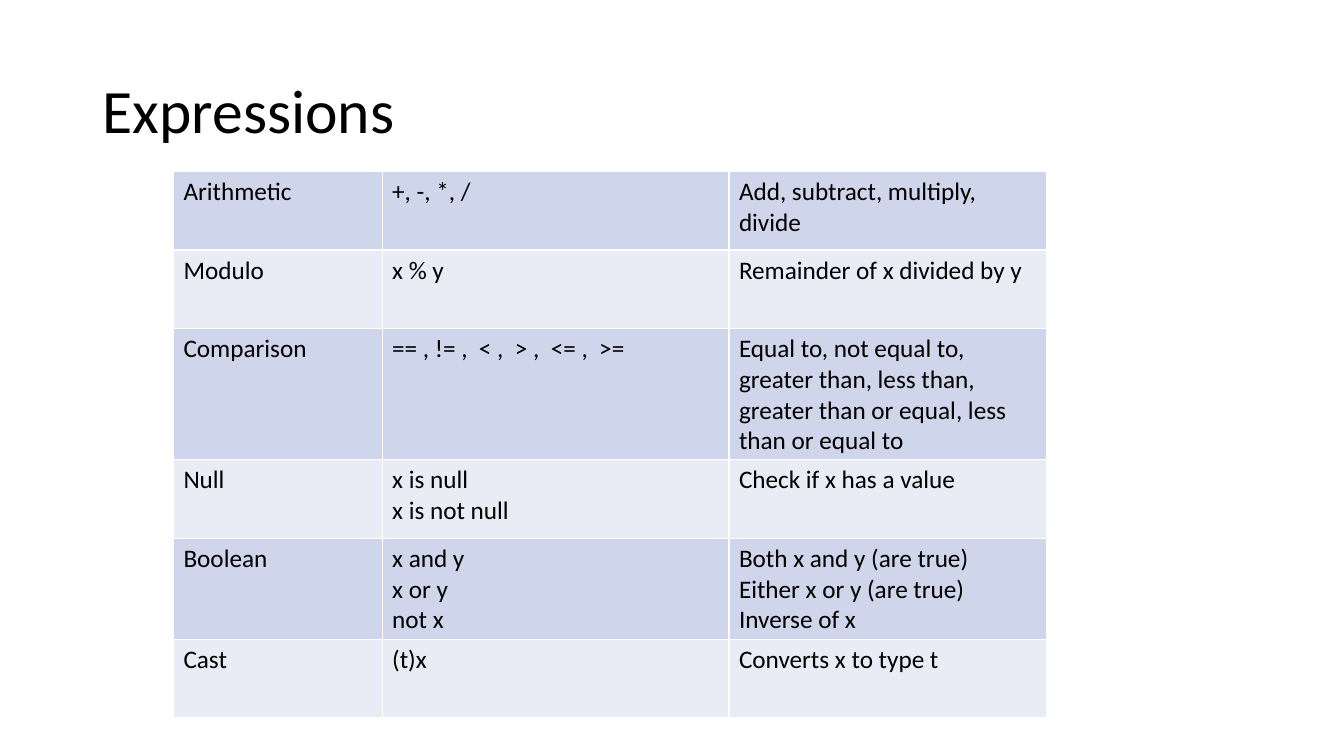
from lxml import etree
from pptx import Presentation
from pptx.dml.color import RGBColor
from pptx.enum import text
from pptx.oxml import ns
from pptx.util import Inches, Pt

BLACK, WHITE = "000000", "FFFFFF"
BANDS = ["CFD5EA", "E9EBF5"]
COLUMN_WIDTHS = [2.07, 3.44, 3.15]
ROW_HEIGHTS = [0.78, 0.78, 1.13, 0.78, 0.85, 0.78]
EXPRESSIONS = [
    ["Arithmetic", "+, -, *, /", "Add, subtract, multiply, divide"],
    ["Modulo", "x % y", "Remainder of x divided by y"],
    ["Comparison", "== , != ,  < ,  > ,  <= ,  >=",
     "Equal to, not equal to, greater than, less than, "
     "greater than or equal, less than or equal to"],
    ["Null", "x is null\nx is not null", "Check if x has a value"],
    ["Boolean", "x and y\nx or y\nnot x",
     "Both x and y (are true)\nEither x or y (are true)\nInverse of x"],
    ["Cast", "(t)x", "Converts x to type t"],
]


def rgb(value):
    return RGBColor.from_string(value)


def write(tf, content, size, line_spacing=1.0):
    """Fill a text frame, one paragraph per line of content."""
    tf.text = content
    for p in tf.paragraphs:
        p.line_spacing = line_spacing
        for r in p.runs:
            for name, value in {"name": "Calibri", "size": Pt(size)}.items():
                setattr(r.font, name, value)
            r.font.color.rgb = rgb(BLACK)


def add_title(s, content):
    box = s.shapes.add_textbox(Inches(0.92), Inches(0.4), Inches(11.5), Inches(1.45))
    tf = box.text_frame
    tf.word_wrap = True
    tf.vertical_anchor = text.MSO_ANCHOR.MIDDLE
    write(tf, content, 44, 0.9)


def set_borders(cell, color, width):
    tc_pr = cell._tc.get_or_add_tcPr()
    for side in ("lnL", "lnR", "lnT", "lnB"):
        ln = etree.SubElement(tc_pr, ns.qn(f"a:{side}"), w=str(Pt(width)))
        fill = etree.SubElement(ln, ns.qn("a:solidFill"))
        etree.SubElement(fill, ns.qn("a:srgbClr"), val=color)


def add_expression_table(s):
    frame = s.shapes.add_table(
        len(EXPRESSIONS), len(COLUMN_WIDTHS), Inches(1.72), Inches(1.7),
        Inches(sum(COLUMN_WIDTHS)), Inches(sum(ROW_HEIGHTS)))
    table = frame.table
    table.first_row = table.horz_banding = False
    for column, width in zip(table.columns, COLUMN_WIDTHS):
        column.width = Inches(width)
    for i, (row, height) in enumerate(zip(table.rows, ROW_HEIGHTS)):
        row.height = Inches(height)
        for cell, content in zip(row.cells, EXPRESSIONS[i]):
            set_borders(cell, WHITE, 1)
            cell.fill.solid()
            cell.fill.fore_color.rgb = rgb(BANDS[i % 2])
            write(cell.text_frame, content, 18)


def main():
    prs = Presentation()
    prs.slide_width, prs.slide_height = Inches(13.33), Inches(7.5)
    s = prs.slides.add_slide(prs.slide_layouts[6])
    add_title(s, "Expressions")
    add_expression_table(s)
    prs.save("out.pptx")


if __name__ == "__main__":
    main()
